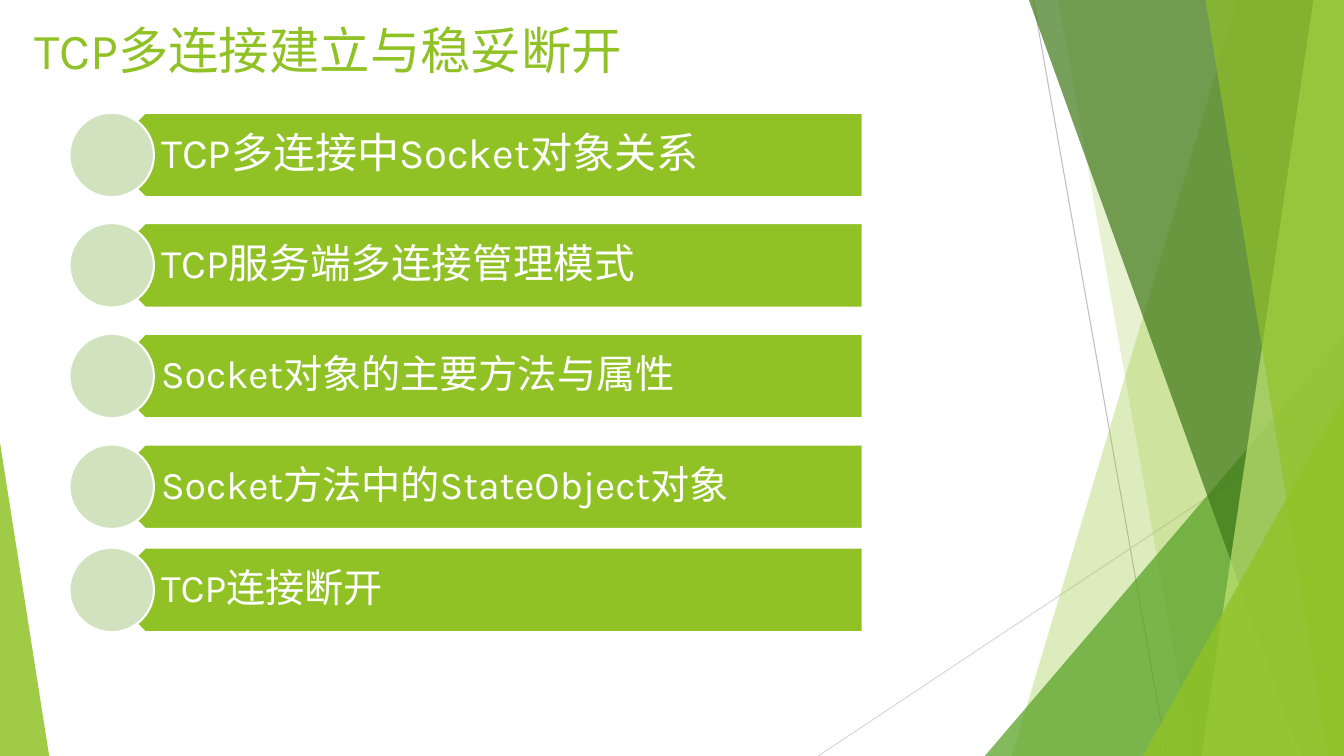
from pptx import Presentation
from pptx.dml.color import RGBColor
from pptx.enum.shapes import MSO_CONNECTOR, MSO_SHAPE
from pptx.enum.text import MSO_ANCHOR, PP_ALIGN
from pptx.oxml.ns import qn
from pptx.util import Cm, Pt
from lxml.etree import SubElement

GREEN = RGBColor(0x90, 0xC2, 0x26)
MID_GREEN = RGBColor(0x54, 0xA0, 0x21)
DARK_GREEN = RGBColor(0x3F, 0x78, 0x19)
LIME = RGBColor(0xC0, 0xE4, 0x74)
PALE_GREEN = RGBColor(0xD1, 0xE3, 0xBE)
WHITE = RGBColor(0xFF, 0xFF, 0xFF)
GRAY = RGBColor(0xBF, 0xBF, 0xBF)
LIGHT_GRAY = RGBColor(0xD9, 0xD9, 0xD9)

WIDTH, HEIGHT = 33.87, 19.05


def write_text(frame, text, size, color, font="Karla", spacing=None):
    paragraph = frame.paragraphs[0]
    paragraph.alignment = PP_ALIGN.LEFT
    if spacing:
        paragraph.line_spacing = spacing
    run = paragraph.add_run()
    run.text = text
    run.font.name = font
    run.font.size = Pt(size)
    run.font.color.rgb = color


class SlideBuilder:
    def __init__(self, slide):
        self.slide = slide
        self.shapes = slide.shapes

    def paint(self, shape, color, alpha=100, outline=None):
        shape.shadow.inherit = False
        shape.fill.solid()
        shape.fill.fore_color.rgb = color
        if alpha < 100:
            tint = shape.fill._xPr.find(qn("a:solidFill"))[0]
            SubElement(tint, qn("a:alpha")).set("val", str(alpha * 1000))
        if outline is None:
            shape.line.fill.background()
        else:
            shape.line.color.rgb = outline
            shape.line.width = Pt(1.5)
        return shape

    def preset(self, kind, box, color, alpha=100, outline=None, adjust=None):
        shape = self.shapes.add_shape(kind, *map(Cm, box))
        if adjust is not None:
            shape.adjustments[0] = adjust
        return self.paint(shape, color, alpha, outline)

    def ray(self, top_x, bottom_x, color, alpha):
        points = [(WIDTH, 0), (WIDTH, HEIGHT), (bottom_x, HEIGHT)]
        outline = self.shapes.build_freeform(Cm(top_x), 0)
        outline.add_line_segments([(Cm(x), Cm(y)) for x, y in points])
        return self.paint(outline.convert_to_shape(), color, alpha)

    def line(self, start, end, color):
        line = self.shapes.add_connector(
            MSO_CONNECTOR.STRAIGHT, *map(Cm, start + end))
        line.line.color.rgb = color
        line.line.width = Pt(0.75)
        SubElement(line._element.spPr, qn("a:effectLst"))

    def text(self, box, text, insets=(0.25, 0.13, 0.25, 0.13),
             anchor=MSO_ANCHOR.TOP, **style):
        frame = self.shapes.add_textbox(*map(Cm, box)).text_frame
        frame.word_wrap = True
        frame.vertical_anchor = anchor
        (frame.margin_left, frame.margin_top,
         frame.margin_right, frame.margin_bottom) = map(Cm, insets)
        write_text(frame, text, **style)

    def topic(self, top, text, size):
        height = 2.13
        band = self.preset(MSO_SHAPE.PENTAGON, (2.59, top, 19.15, height),
                           GREEN, outline=WHITE)
        band.rotation = 180
        self.text((3.12, top, 18.62, height), text,
                  insets=(0.94, 0.3, 0.57, 0.3), anchor=MSO_ANCHOR.MIDDLE,
                  size=size, color=WHITE, spacing=0.9)
        self.preset(MSO_SHAPE.OVAL, (1.75, top, height, height),
                    PALE_GREEN, outline=WHITE)


presentation = Presentation()
presentation.slide_width = Cm(WIDTH)
presentation.slide_height = Cm(HEIGHT)
builder = SlideBuilder(
    presentation.slides.add_slide(presentation.slide_layouts[6]))

builder.line((26.04, 0), (29.41, HEIGHT), GRAY)
builder.line((WIDTH, 10.24), (20.62, HEIGHT), LIGHT_GRAY)
builder.ray(31.19, 25.5, GREEN, 30)
builder.ray(26.67, 30.05, GREEN, 20)
builder.preset(MSO_SHAPE.ISOSCELES_TRIANGLE, (24.82, 8.46, 9.05, 10.59),
               MID_GREEN, 72, adjust=1)
builder.ray(25.93, 32.79, DARK_GREEN, 70)
builder.ray(33.1, 30.28, LIME, 70)
builder.ray(30.38, 33.48, GREEN, 65)
builder.preset(MSO_SHAPE.ISOSCELES_TRIANGLE, (28.8, 9.98, 5.07, 9.07),
               GREEN, 80, adjust=1)
builder.preset(MSO_SHAPE.ISOSCELES_TRIANGLE, (0, 11.15, 1.24, 7.9),
               GREEN, 85, adjust=0)

TOPICS = [
    (2.84, "TCP多连接中Socket对象关系", 30),
    (5.62, "TCP服务端多连接管理模式", 29),
    (8.41, "Socket对象的主要方法与属性", 28),
    (11.2, "Socket方法中的StateObject对象", 28),
    (13.8, "TCP连接断开", 28),
]
for top, topic, size in TOPICS:
    builder.topic(top, topic, size)

builder.text((0.61, 0.36, 15.65, 1.98), "TCP多连接建立与稳妥断开",
             size=36, color=GREEN)

presentation.save("out.pptx")
